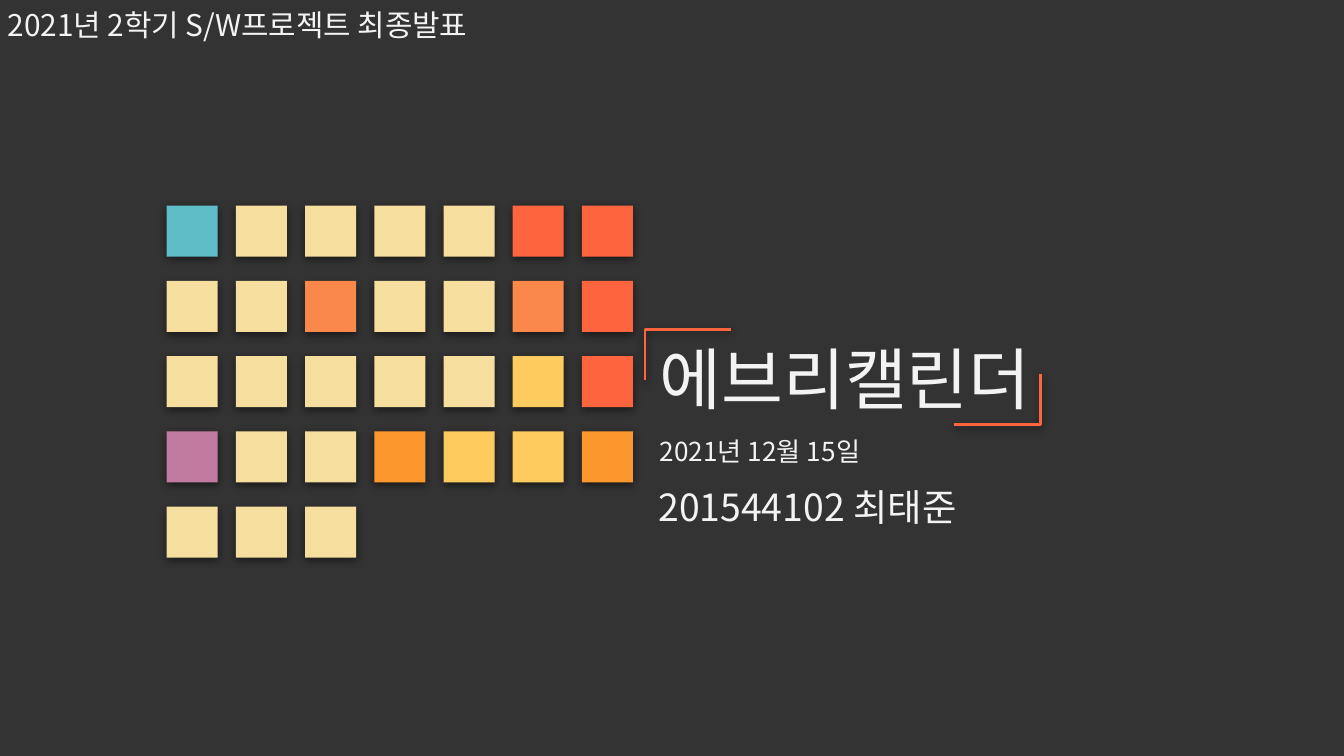
"""Build a title slide with a calendar of coloured days beside a bracketed title."""
from lxml import etree
from pptx import Presentation
from pptx.dml.color import RGBColor
from pptx.enum.shapes import MSO_SHAPE
from pptx.enum.text import MSO_ANCHOR, MSO_AUTO_SIZE
from pptx.oxml import parse_xml
from pptx.oxml.ns import nsdecls, qn
from pptx.util import Inches, Pt

RECTANGLE = MSO_SHAPE.RECTANGLE
TOP = MSO_ANCHOR.TOP
GROW = MSO_AUTO_SIZE.SHAPE_TO_FIT_TEXT
FONT = "Noto Sans CJK KR"
COLORS = {
    "background": "333333", "text": "F3F3F3", "blue": "5EBDC6", "cream": "F6DE9E",
    "red": "FE643E", "coral": "FA884B", "yellow": "FECB5E", "purple": "C27BA0",
    "orange": "FC972D",
}
DAYS = [
    ["blue", "cream", "cream", "cream", "cream", "red", "red"],
    ["cream", "cream", "coral", "cream", "cream", "coral", "red"],
    ["cream", "cream", "cream", "cream", "cream", "yellow", "red"],
    ["purple", "cream", "cream", "orange", "yellow", "yellow", "orange"],
    ["cream", "cream", "cream"],
]
GRID_LEFT, GRID_TOP = Inches(1.24), Inches(1.53)
COLUMN, ROW, DAY = Inches(3.09) / 6, Inches(0.56), Inches(0.38)


def color(name):
    """Return the named colour."""
    return RGBColor.from_string(COLORS[name])


def add_shadow(shape):
    """Give the shape a soft shadow below it."""
    shape._element.spPr.append(parse_xml(
        f'<a:effectLst {nsdecls("a")}>'
        '<a:outerShdw blurRad="57150" dist="19050" dir="5400000" algn="bl" rotWithShape="0">'
        '<a:srgbClr val="000000"><a:alpha val="50000"/></a:srgbClr>'
        '</a:outerShdw></a:effectLst>'))


presentation = Presentation()
presentation.slide_width = Inches(10)
presentation.slide_height = presentation.slide_width * 9 // 16
slide = presentation.slides.add_slide(presentation.slide_layouts[6])
slide.background.fill.solid()
slide.background.fill.fore_color.rgb = color("background")

calendar = slide.shapes.add_group_shape()
for row, week in enumerate(DAYS):
    for column, name in enumerate(week):
        day = calendar.shapes.add_shape(
            RECTANGLE, int(GRID_LEFT + column * COLUMN), GRID_TOP + row * ROW, DAY, DAY)
        day.fill.solid()
        day.fill.fore_color.rgb = color(name)
        day.line.fill.background()
        add_shadow(day)

BRACKETS = [
    [(774, 278), (774, 316), (710, 316)],
    [(480, 283), (480, 245), (544, 245)],
]
for start, *others in BRACKETS:
    builder = slide.shapes.build_freeform(*start, scale=Inches(0.01))
    builder.add_line_segments(others, close=False)
    bracket = builder.convert_to_shape()
    bracket.fill.background()
    bracket.line.color.rgb = color("red")
    bracket.line.width = Pt(1.5)
    add_shadow(bracket)

TEXTS = [
    ("에브리캘린더", 36, 4.81, 2.41, 4.41, 1.18, 0.1),
    ("201544102 최태준", 20, 4.8, 3.55, 5, 0.44, 0.05),
    ("2021년 12월 15일", 14, 4.81, 3.19, 5, 0.34, 0.05),
    ("2021년 2학기 S/W프로젝트 최종발표", 16, -0.04, 0, 5, 0.37, 0.05),
]
for text, size, left, top, width, height, inset in TEXTS:
    box = slide.shapes.add_textbox(Inches(left), Inches(top), Inches(width), Inches(height))
    frame = box.text_frame
    frame.word_wrap = True
    frame.vertical_anchor = TOP
    frame.margin_top = frame.margin_bottom = Inches(inset)
    if size < 36:
        frame.auto_size = GROW
    paragraph = frame.paragraphs[0]
    paragraph.text = text
    paragraph.font.size = Pt(size)
    paragraph.font.color.rgb = color("text")
    paragraph.font.name = FONT
    etree.SubElement(paragraph.font._element, qn("a:ea")).set("typeface", FONT)

presentation.save("out.pptx")
